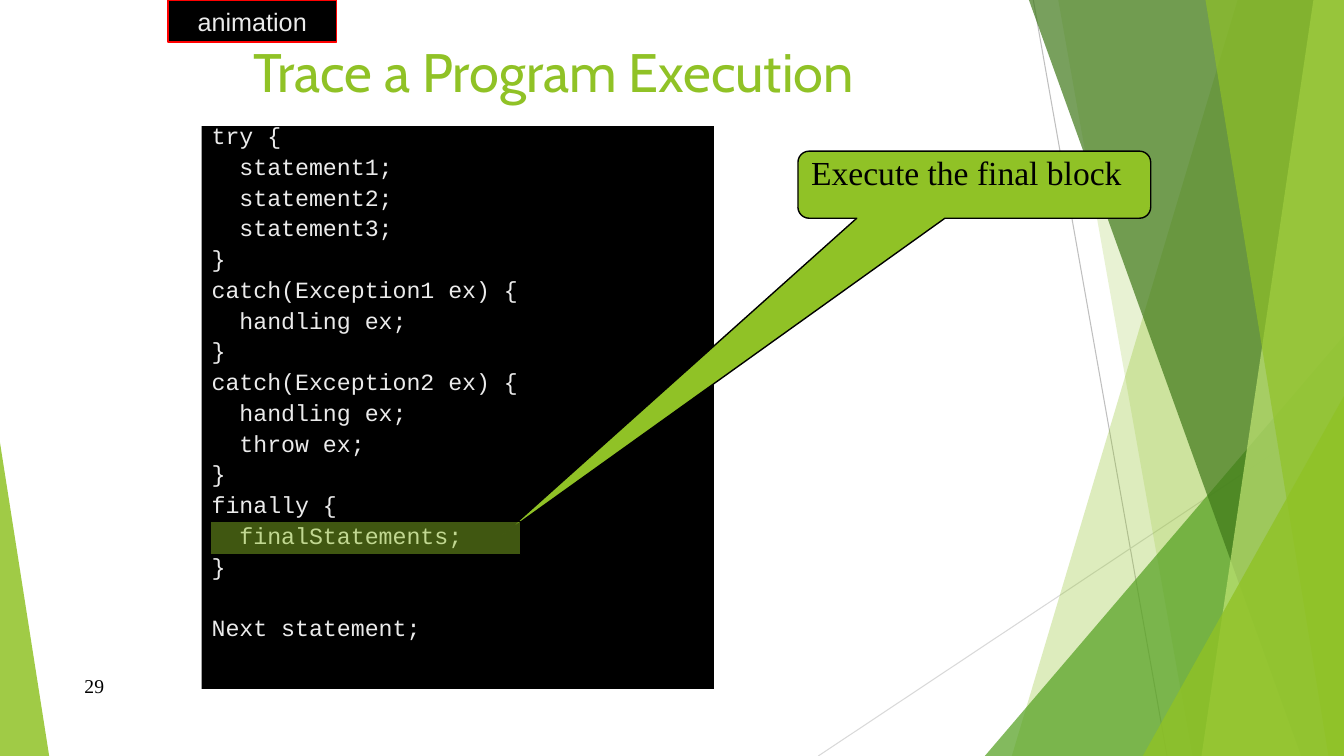
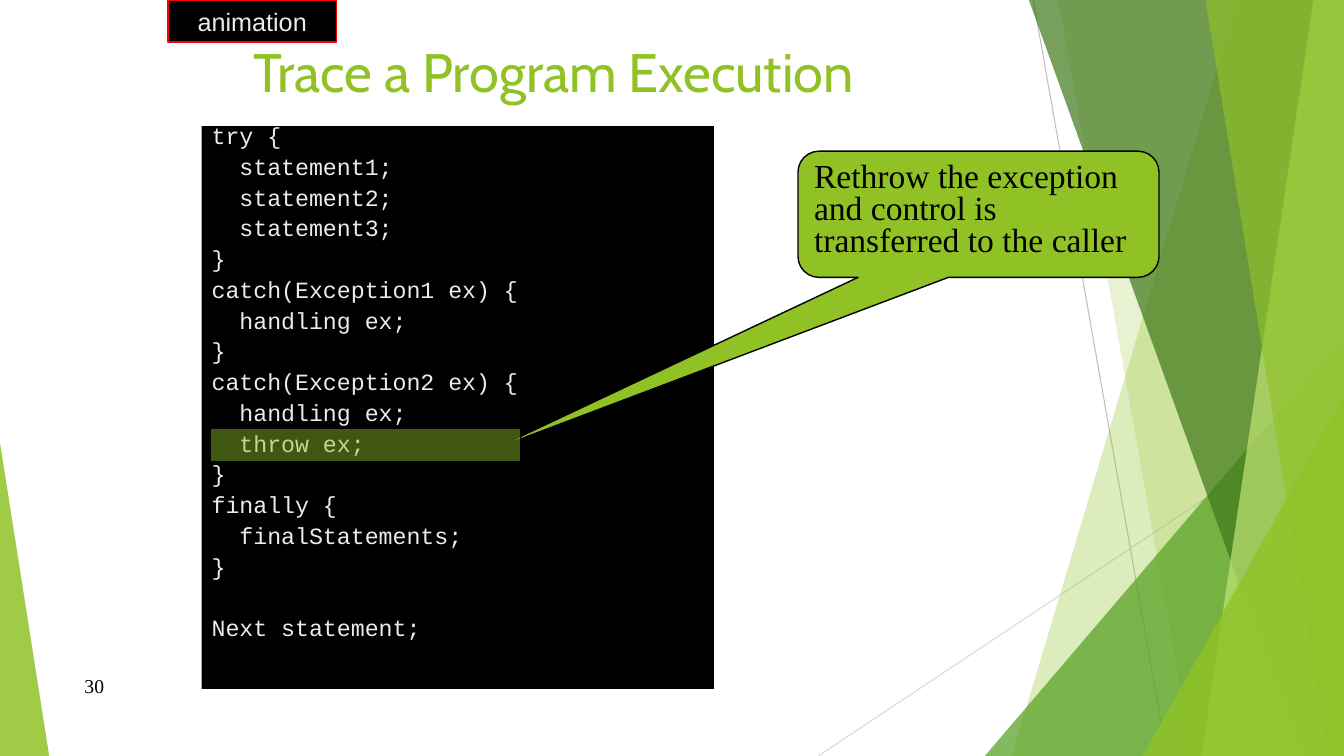
from dataclasses import dataclass

from pptx import Presentation
from pptx.dml.color import RGBColor
from pptx.enum.shapes import MSO_CONNECTOR, MSO_SHAPE
from pptx.enum.text import MSO_ANCHOR, MSO_AUTO_SIZE, PP_ALIGN
from pptx.oxml import parse_xml
from pptx.oxml.ns import nsdecls, qn
from pptx.oxml.xmlchemy import OxmlElement
from pptx.util import Cm, Pt

RECT, TRIANGLE = MSO_SHAPE.RECTANGLE, MSO_SHAPE.ISOSCELES_TRIANGLE
CALLOUT = MSO_SHAPE.ROUNDED_RECTANGULAR_CALLOUT
STRAIGHT = MSO_CONNECTOR.STRAIGHT
TOP, MIDDLE = MSO_ANCHOR.TOP, MSO_ANCHOR.MIDDLE
LEFT, CENTER = PP_ALIGN.LEFT, PP_ALIGN.CENTER
NO_AUTOFIT = MSO_AUTO_SIZE.NONE


@dataclass(frozen=True)
class Theme:
    lime: str = "90C226"
    pale_lime: str = "C0E474"
    green: str = "54A021"
    forest: str = "3F7819"
    black: str = "000000"
    red: str = "FF0000"
    off_white: str = "EBEBEB"
    grey: str = "BFBFBF"
    light_grey: str = "D9D9D9"
    title_font: str = "Cabin"
    code_font: str = "Courier New"
    tag_font: str = "Arial"
    note_font: str = "Times New Roman"
    title_size: float = 38.7
    code_size: float = 16.6
    tag_size: float = 18
    note_size: float = 24
    number_size: float = 14


THEME = Theme()

# Content
TITLE = "Trace a Program Execution"
TAG = "animation"
CODE = [
    "try {",
    "  statement1;",
    "  statement2;",
    "  statement3;",
    "}",
    "catch(Exception1 ex) {",
    "  handling ex;",
    "}",
    "catch(Exception2 ex) {",
    "  handling ex;",
    "  throw ex;",
    "}",
    "finally {",
    "  finalStatements;",
    "}",
    "",
    "Next statement;",
]
# Callout size and tip are in centimetres
STEPS = [
    dict(number=29, line="  finalStatements;", note="Execute the final block",
         size=(8.89, 1.69), tip=(12.67, 13.48)),
    dict(number=30, line="  throw ex;",
         note="Rethrow the exception and control is transferred to the caller",
         size=(9.1, 3.18), tip=(12.44, 11.32)),
]

# Layout, in centimetres: left, top, width, height
WIDTH, HEIGHT = 33.87, 19.05
TITLE_BOX = (6.13, 0.84, 21.59, 1.47)
CODE_BOX = (5.08, 3.18, 12.91, 14.18)
TAG_BOX = (4.23, 0, 4.25, 1.06)
NUMBER_BOX = (1.88, 16.78, 17.5, 1.02)
CALLOUT_CORNER = (20.11, 3.81)
MARK_LEFT, MARK_WIDTH, MARK_HEIGHT = 5.29, 7.83, 0.84
FIRST_ROW, ROW_PITCH = 3.0, 0.78

# Backdrop, from back to front
RULES = [
    ((26.04, 0), (29.41, HEIGHT), THEME.grey),
    ((WIDTH, 10.24), (20.62, HEIGHT), THEME.light_grey),
]
# Bands reach the right edge: (x at top, x at bottom); triangles: (box, apex)
BACKDROP = [
    ("band", (31.19, 25.5), THEME.lime, 30),
    ("band", (26.67, 30.05), THEME.lime, 20),
    ("triangle", ((24.82, 8.46, 9.05, 10.59), 1), THEME.green, 72),
    ("band", (25.93, 32.79), THEME.forest, 70),
    ("band", (33.1, 30.28), THEME.pale_lime, 70),
    ("band", (30.38, 33.48), THEME.lime, 65),
    ("triangle", ((28.8, 9.98, 5.07, 9.07), 1), THEME.lime, 80),
    ("triangle", ((0, 11.15, 1.24, 7.9), 0), THEME.lime, 85),
]


def cms(values):
    return [Cm(value) for value in values]


def paint(shape, fill, line=None, opacity=100):
    shape.shadow.inherit = False
    shape.fill.solid()
    shape.fill.fore_color.rgb = RGBColor.from_string(fill)
    if opacity < 100:
        alpha = OxmlElement("a:alpha")
        alpha.set("val", str(opacity * 1000))
        shape.element.spPr.find(f".//{qn('a:srgbClr')}").append(alpha)
    if line:
        shape.line.color.rgb = RGBColor.from_string(line)
        shape.line.width = Pt(1)
    else:
        shape.line.fill.background()


def write(shape, text, font, size, color, align=LEFT, anchor=TOP, wrap=True):
    frame = shape.text_frame
    frame.text = text
    frame.word_wrap = wrap
    frame.vertical_anchor = anchor
    para = frame.paragraphs[0]
    para.alignment = align
    span = para.runs[0].font
    span.name, span.size = font, Pt(size)
    span.color.rgb = RGBColor.from_string(color)
    return para


def add_box(page, kind, box, fill, line=None, opacity=100):
    shape = page.shapes.add_shape(kind, *cms(box))
    paint(shape, fill, line, opacity)
    return shape


def add_rule(page, start, end, color):
    rule = page.shapes.add_connector(STRAIGHT, *cms(start + end))
    rule.line.color.rgb = RGBColor.from_string(color)
    rule.line.width = Pt(0.75)
    rule.element.spPr.append(OxmlElement("a:effectLst"))
    return rule


def add_band(page, x_top, x_bottom, fill, opacity):
    builder = page.shapes.build_freeform(Cm(x_top), 0)
    corners = [(WIDTH, 0), (WIDTH, HEIGHT), (x_bottom, HEIGHT)]
    builder.add_line_segments([cms(corner) for corner in corners], close=True)
    band = builder.convert_to_shape()
    paint(band, fill, opacity=opacity)
    return band


def add_backdrop(page, layout):
    """Draw the backdrop and hand it to the layout, behind its placeholders."""
    parts = [add_rule(page, *rule) for rule in RULES]
    for kind, geometry, color, opacity in BACKDROP:
        if kind == "band":
            parts.append(add_band(page, *geometry, color, opacity))
        else:
            box, apex = geometry
            part = add_box(page, TRIANGLE, box, color, opacity=opacity)
            part.adjustments[0] = apex
            parts.append(part)
    for index, part in enumerate(parts):
        part.element.xpath(".//p:cNvPr")[0].set("id", str(100 + index))
        layout.shapes.element.insert(2 + index, part.element)


def style_placeholder(holder, box, font, size, color, line_percent, before):
    """Give a layout placeholder its place and its first-level text style."""
    holder.left, holder.top, holder.width, holder.height = cms(box)
    frame = holder.text_frame
    frame.vertical_anchor = TOP
    frame.auto_size = NO_AUTOFIT
    styles = holder.element.txBody.find(qn("a:lstStyle"))
    for old in list(styles):
        styles.remove(old)
    styles.append(parse_xml(
        f'<a:lvl1pPr {nsdecls("a")} marL="0" indent="0" algn="l">'
        f'<a:lnSpc><a:spcPct val="{line_percent * 1000}"/></a:lnSpc>'
        f'<a:spcBef><a:spcPts val="{before * 100}"/></a:spcBef><a:buNone/>'
        f'<a:defRPr sz="{round(size * 100)}" b="0"><a:solidFill>'
        f'<a:srgbClr val="{color}"/></a:solidFill>'
        f'<a:latin typeface="{font}"/><a:cs typeface="{font}"/>'
        f'</a:defRPr></a:lvl1pPr>'))


def style_layout(layout):
    title, body = layout.placeholders[0], layout.placeholders[1]
    style_placeholder(title, TITLE_BOX, THEME.title_font, THEME.title_size,
                      THEME.lime, 100, 0)
    style_placeholder(body, CODE_BOX, THEME.code_font, THEME.code_size,
                      THEME.off_white, 60, 10)
    body.fill.solid()
    body.fill.fore_color.rgb = RGBColor.from_string(THEME.black)


def add_callout(page, note, size, tip):
    callout = add_box(page, CALLOUT, CALLOUT_CORNER + size, THEME.lime, THEME.black)
    # The tip is measured from the centre, as a share of the size
    for axis in (0, 1):
        offset = tip[axis] - CALLOUT_CORNER[axis]
        callout.adjustments[axis] = offset / size[axis] - 0.5
    para = write(callout, note, THEME.note_font, THEME.note_size, THEME.black)
    para.line_spacing = 0.8


def fill_page(page, step):
    # Title and code
    page.shapes.title.text_frame.text = TITLE
    code = page.placeholders[1].text_frame
    code.text = "\n".join(CODE)
    code.paragraphs[0].space_before = Pt(0)

    # Slide number and tag
    number = page.shapes.add_textbox(*cms(NUMBER_BOX))
    write(number, str(step["number"]), THEME.note_font, THEME.number_size,
          THEME.black, anchor=MIDDLE)
    tag = add_box(page, RECT, TAG_BOX, THEME.black, THEME.red)
    write(tag, TAG, THEME.tag_font, THEME.tag_size, THEME.off_white,
          CENTER, MIDDLE, wrap=False)

    # Callout and marked line of code
    add_callout(page, step["note"], step["size"], step["tip"])
    mark_top = FIRST_ROW + ROW_PITCH * CODE.index(step["line"])
    add_box(page, RECT, (MARK_LEFT, mark_top, MARK_WIDTH, MARK_HEIGHT),
            THEME.lime, THEME.black, opacity=45)


def main():
    deck = Presentation()
    deck.slide_width, deck.slide_height = Cm(WIDTH), Cm(HEIGHT)
    layout = deck.slide_layouts[1]
    style_layout(layout)
    pages = [deck.slides.add_slide(layout) for _ in STEPS]
    add_backdrop(pages[0], layout)
    for page, step in zip(pages, STEPS):
        fill_page(page, step)
    deck.save("out.pptx")


if __name__ == "__main__":
    main()
